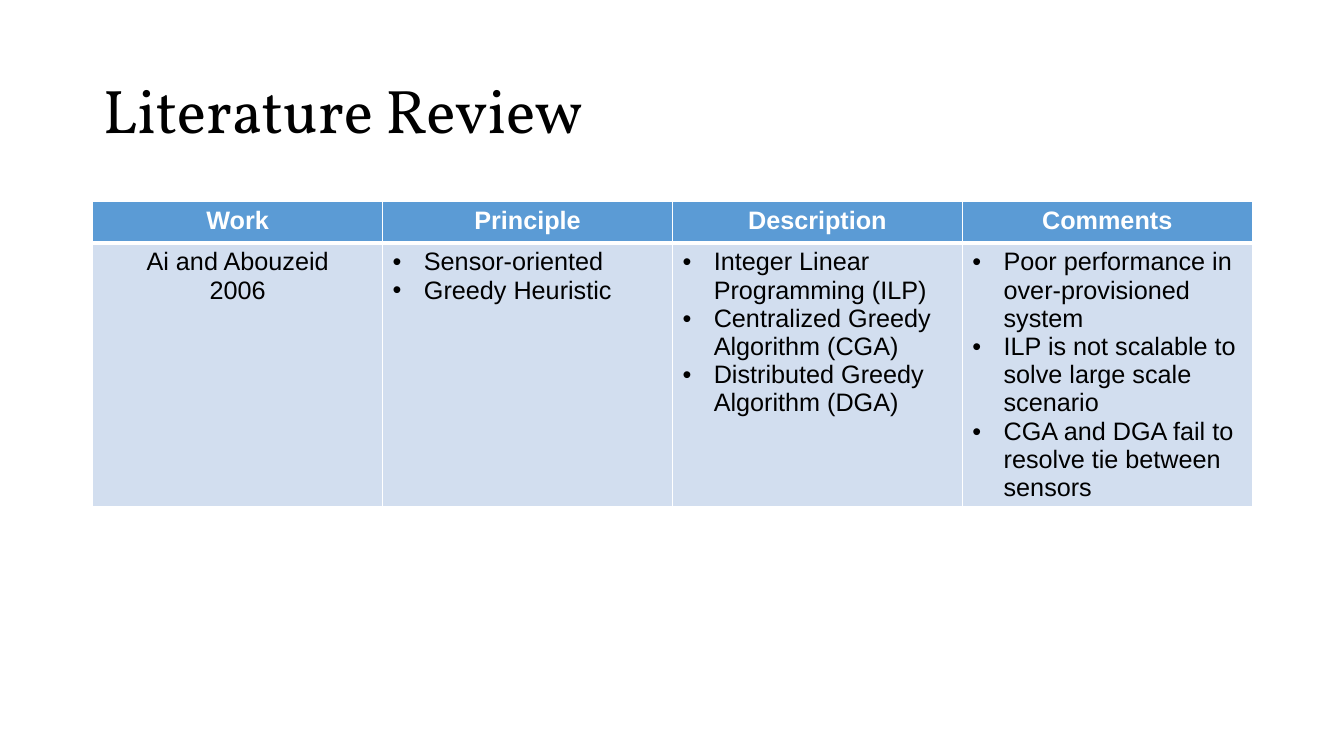
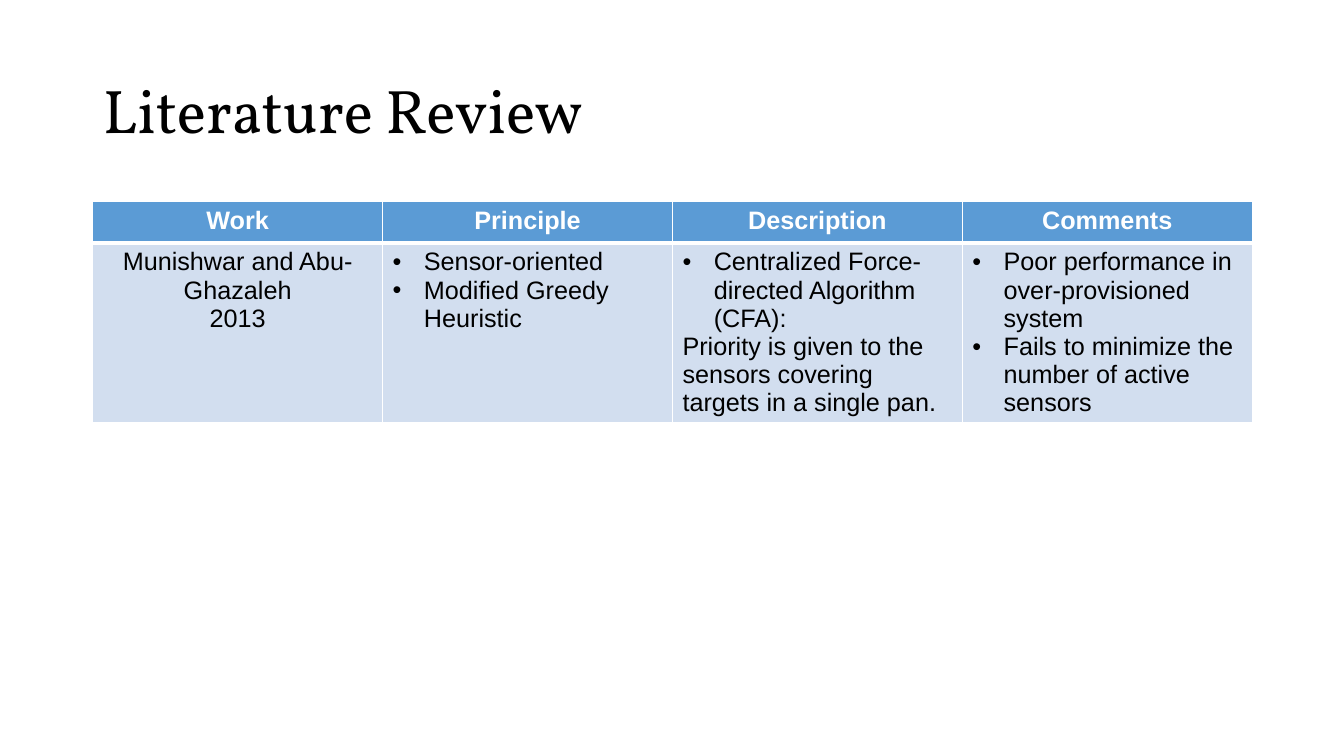
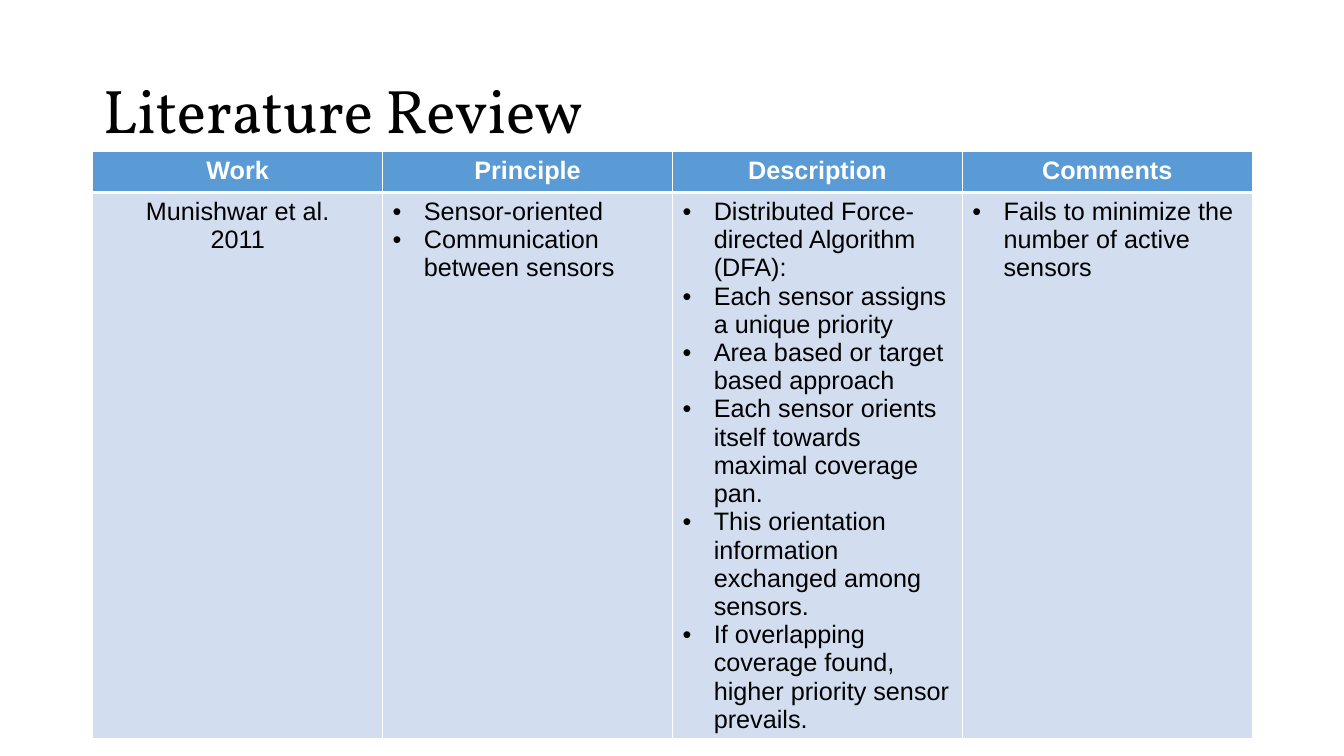
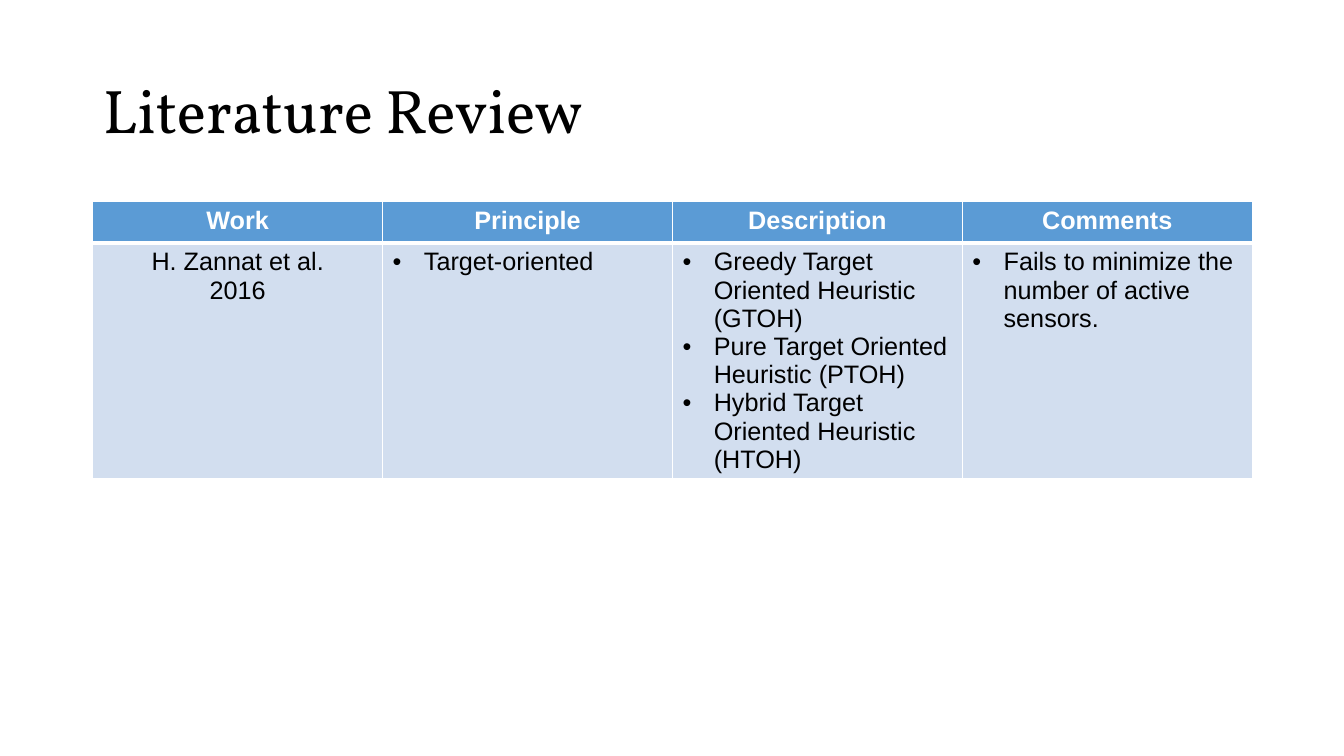
from dataclasses import dataclass

from lxml.etree import SubElement
from pptx import Presentation
from pptx.dml.color import RGBColor
from pptx.enum.text import MSO_ANCHOR as Anchor, MSO_AUTO_SIZE as AutoSize, PP_ALIGN as Align
from pptx.oxml.ns import qn
from pptx.util import Inches, Pt


@dataclass(frozen=True)
class Theme:
    background: str = "FFFFFF"
    ink: str = "000000"
    header_fill: str = "5B9BD5"
    header_ink: str = "FFFFFF"
    body_fill: str = "D2DEEF"
    rule: str = "FFFFFF"
    title_font: str = "Vollkorn"
    table_font: str = "Arial"
    title_size: int = 44
    table_size: int = 18
    thin_rule: int = 1
    thick_rule: int = 3


@dataclass(frozen=True)
class Box:
    left: float
    top: float
    width: float
    height: float

    def lengths(self):
        return [Inches(v) for v in (self.left, self.top, self.width, self.height)]


@dataclass(frozen=True)
class Review:
    """One reviewed work; the explanation follows the description unbulleted."""
    box: Box
    work: tuple
    principle: tuple
    description: tuple
    comments: tuple
    explanation: tuple = ()


THEME = Theme()
LEFT, WIDTH = 0.92, 11.5
TITLE_BOX = Box(LEFT, 0.4, WIDTH, 1.45)
HEADINGS = ("Work", "Principle", "Description", "Comments")
ROW_HEIGHT = 0.41
BULLET_INDENT = 0.31

REVIEWS = (
    Review(
        box=Box(LEFT, 2, WIDTH, 3.21),
        work=("Ai and Abouzeid", "2006"),
        principle=("Sensor-oriented", "Greedy Heuristic"),
        description=(
            "Integer Linear Programming (ILP)",
            "Centralized Greedy Algorithm (CGA)",
            "Distributed Greedy Algorithm (DGA)",
        ),
        comments=(
            "Poor performance in over-provisioned system",
            "ILP is not scalable to solve large scale scenario",
            "CGA and DGA fail to resolve tie between sensors",
        ),
    ),
    Review(
        box=Box(LEFT, 2, WIDTH, 2.31),
        work=("Munishwar and Abu-Ghazaleh", "2013"),
        principle=("Sensor-oriented", "Modified Greedy Heuristic"),
        description=("Centralized Force-directed Algorithm (CFA):",),
        explanation=("Priority is given to the sensors covering targets in a single pan.",),
        comments=(
            "Poor performance in over-provisioned system",
            "Fails to minimize the number of active sensors",
        ),
    ),
    Review(
        box=Box(LEFT, 1.5, WIDTH, 5.91),
        work=("Munishwar et al.", "2011"),
        principle=("Sensor-oriented", "Communication between sensors"),
        description=(
            "Distributed Force-directed Algorithm (DFA):",
            "Each sensor assigns a unique priority",
            "Area based or target based approach",
            "Each sensor orients itself towards maximal coverage pan.",
            "This orientation information exchanged among sensors.",
            "If overlapping coverage found, higher priority sensor prevails.",
        ),
        comments=("Fails to minimize the number of active sensors",),
    ),
    Review(
        box=Box(LEFT, 2, WIDTH, 2.91),
        work=("H. Zannat et al.", "2016"),
        principle=("Target-oriented",),
        description=(
            "Greedy Target Oriented Heuristic (GTOH)",
            "Pure Target Oriented Heuristic (PTOH)",
            "Hybrid Target Oriented Heuristic (HTOH)",
        ),
        comments=("Fails to minimize the number of active sensors.",),
    ),
)


def style_font(font, name, size, color, bold=False):
    font.name, font.size, font.bold = name, Pt(size), bold
    font.color.rgb = RGBColor.from_string(color)


def add_bullet(paragraph):
    properties = paragraph._p.get_or_add_pPr()
    indent = Inches(BULLET_INDENT)
    properties.set("marL", str(indent))
    properties.set("indent", str(-indent))
    SubElement(properties, qn("a:buFont"), typeface=THEME.table_font)
    SubElement(properties, qn("a:buChar"), char="•")


def rule_cell(cell, top, bottom):
    """Draw the four cell borders; they must precede the cell fill."""
    properties = cell._tc.get_or_add_tcPr()
    thin = THEME.thin_rule
    for side, width in (("L", thin), ("R", thin), ("T", top), ("B", bottom)):
        line = SubElement(properties, qn(f"a:ln{side}"), w=str(Pt(width)))
        SubElement(SubElement(line, qn("a:solidFill")), qn("a:srgbClr"), val=THEME.rule)


def fill_cell(cell, centred=(), bulleted=(), plain=(), header=False):
    heavy, thin = THEME.thick_rule, THEME.thin_rule
    rule_cell(cell, *((thin, heavy) if header else (heavy, thin)))
    cell.fill.solid()
    cell.fill.fore_color.rgb = RGBColor.from_string(
        THEME.header_fill if header else THEME.body_fill)
    cell.text_frame.text = "\n".join((*centred, *bulleted, *plain))
    bullets_end = len(centred) + len(bulleted)
    for index, paragraph in enumerate(cell.text_frame.paragraphs):
        if index < len(centred):
            paragraph.alignment = Align.CENTER
        elif index < bullets_end:
            add_bullet(paragraph)
        style_font(paragraph.runs[0].font, THEME.table_font, THEME.table_size,
                   THEME.header_ink if header else THEME.ink, header)


def place_title(slide, text, box):
    title = slide.shapes.title
    title.left, title.top, title.width, title.height = box.lengths()
    frame = title.text_frame
    frame.text = text
    frame.word_wrap = True
    frame.auto_size = AutoSize.NONE
    frame.vertical_anchor = Anchor.MIDDLE
    heading = frame.paragraphs[0]
    heading.alignment = Align.LEFT
    heading.line_spacing = 0.9
    style_font(heading.runs[0].font, THEME.title_font, THEME.title_size, THEME.ink)


def place_review_table(slide, review, box):
    frame = slide.shapes.add_table(2, len(HEADINGS), *box.lengths())
    table = frame.table
    for column in table.columns:
        column.width = Inches(box.width / len(HEADINGS))
    for row in table.rows:
        row.height = Inches(ROW_HEIGHT)
    frame.height = Inches(box.height)

    # Header row
    for column, heading in enumerate(HEADINGS):
        fill_cell(table.cell(0, column), centred=(heading,), header=True)

    # Reviewed work
    fill_cell(table.cell(1, 0), centred=review.work)
    fill_cell(table.cell(1, 1), bulleted=review.principle)
    fill_cell(table.cell(1, 2), bulleted=review.description, plain=review.explanation)
    fill_cell(table.cell(1, 3), bulleted=review.comments)


def add_review_slide(deck, review):
    slide = deck.slides.add_slide(deck.slide_layouts.get_by_name("Title Only"))
    place_title(slide, "Literature Review", TITLE_BOX)
    place_review_table(slide, review, review.box)


def main():
    deck = Presentation()
    deck.slide_width, deck.slide_height = Inches(13.33), Inches(7.5)
    background = deck.slide_master.background.fill
    background.solid()
    background.fore_color.rgb = RGBColor.from_string(THEME.background)
    for review in REVIEWS:
        add_review_slide(deck, review)
    deck.save("out.pptx")


main()
